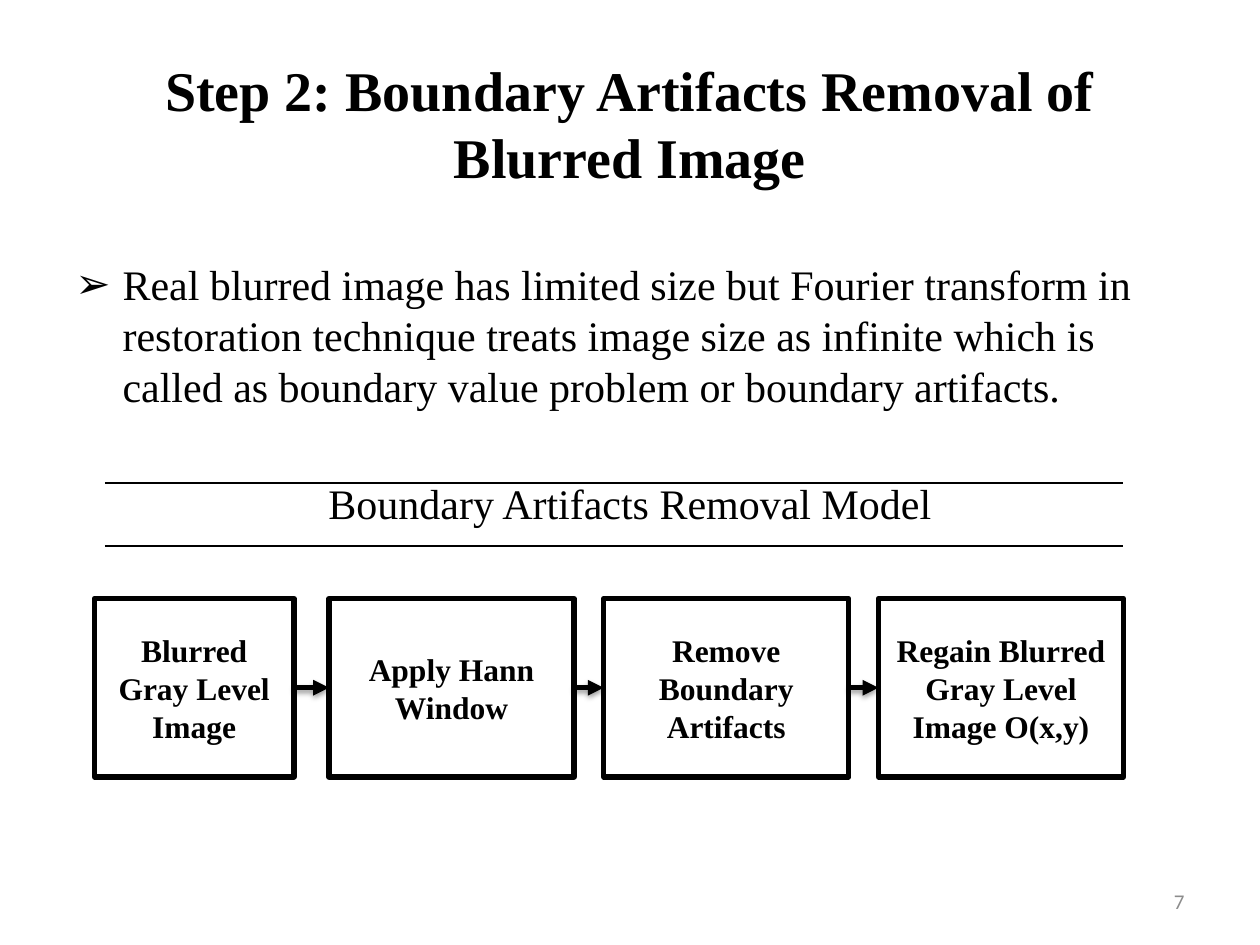
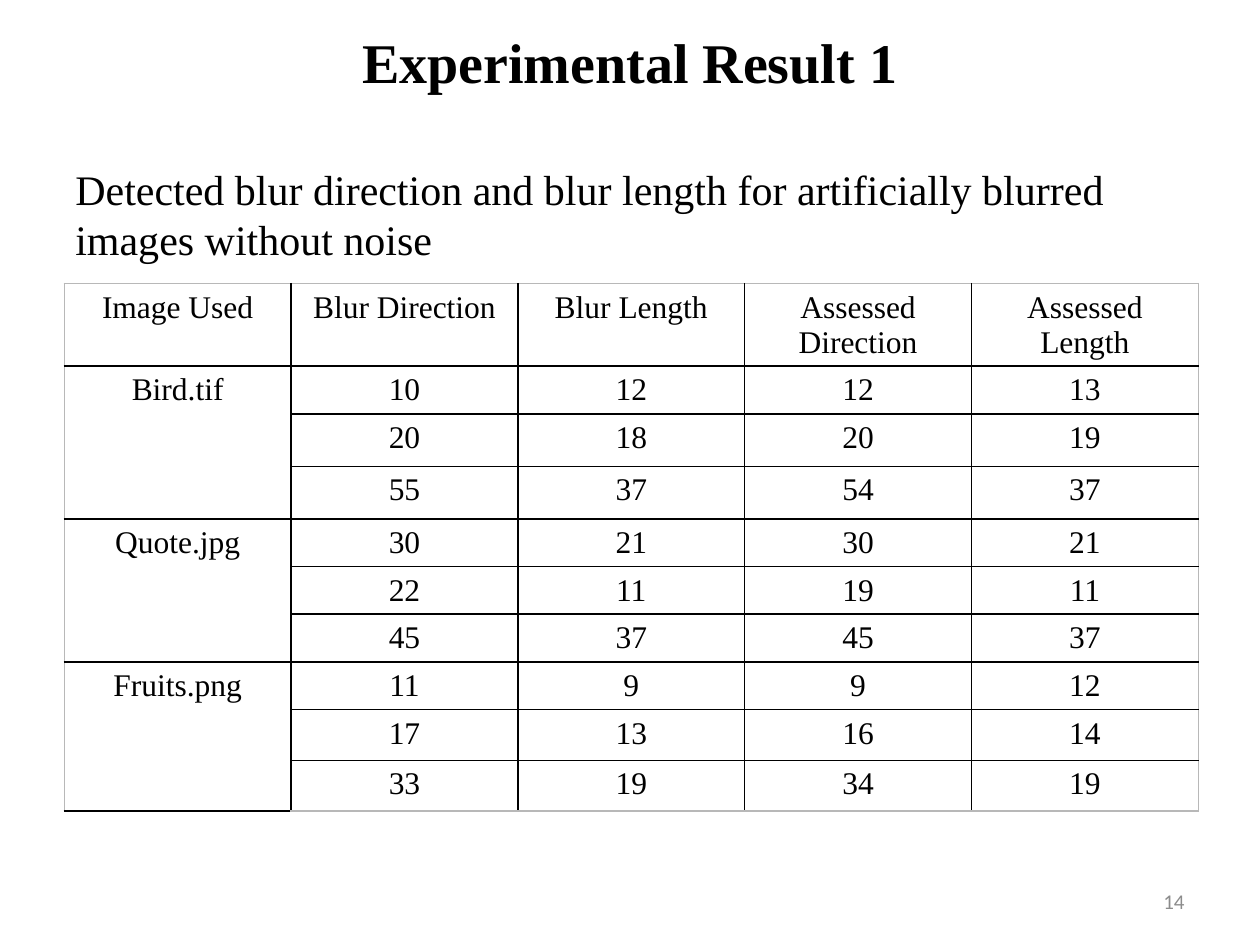
from lxml.etree import SubElement
from pptx import Presentation
from pptx.dml.color import RGBColor
from pptx.enum.shapes import MSO_CONNECTOR as Connector, MSO_SHAPE as Shape
from pptx.enum.text import MSO_ANCHOR as Anchor, PP_ALIGN as Align
from pptx.oxml.ns import qn
from pptx.util import Pt

BLACK, WHITE, GREY, PALE = "000000", "FFFFFF", "8C8C8C", "B8B8B8"
SERIF, SANS = "Times New Roman", "Calibri"
LEADING = 1.21  # line pitch as a multiple of the text size
MARGIN, CONTENT_WIDTH = 36, 648

MODEL_TITLE = "Step 2: Boundary Artifacts Removal of Blurred Image"
PROBLEM = (
    "Real blurred image has limited size but Fourier transform in restoration "
    "technique treats image size as infinite which is called as boundary value "
    "problem or boundary artifacts."
)
MODEL_HEADING = "Boundary Artifacts Removal Model"
# step, width, gap before it
STEPS = [
    ("Blurred Gray Level Image", 114, 0),
    ("Apply Hann Window", 140, 20),
    ("Remove Boundary Artifacts", 140, 17),
    ("Regain Blurred Gray Level Image O(x,y)", 140, 17),
]
STEPS_LEFT, STEPS_TOP, STEP_HEIGHT = 54, 342, 102
RULE_LEFT, RULE_RIGHT, RULE_TOPS = 60, 641.5, (276, 312)

RESULT_TITLE = "Experimental Result 1"
RESULT_CAPTION = (
    "Detected blur direction and blur length for artificially blurred images without noise"
)
RESULT_HEADER = ["Image Used", "Blur Direction", "Blur Length",
                 "Assessed Direction", "Assessed Length"]
RESULTS = {
    "Bird.tif": [(10, 12, 12, 13), (20, 18, 20, 19), (55, 37, 54, 37)],
    "Quote.jpg": [(30, 21, 30, 21), (22, 11, 19, 11), (45, 37, 45, 37)],
    "Fruits.png": [(11, 9, 9, 12), (17, 13, 16, 14), (33, 19, 34, 19)],
}
ROW_HEIGHTS = [47.2, 27.2, 30, 30, 27.2, 27.2, 27.2, 27.2, 29, 29]


def rgb(colour):
    return RGBColor.from_string(colour)


def points(*lengths):
    return [Pt(length) for length in lengths]


def write(paragraph, words, size, bold=False, align=Align.LEFT, font=SERIF,
          colour=BLACK, pitch=None):
    paragraph.alignment = align
    paragraph.line_spacing = Pt(pitch or round(size * LEADING, 1))
    run = paragraph.add_run()
    run.text = words
    run.font.name, run.font.size, run.font.bold = font, Pt(size), bold
    run.font.color.rgb = rgb(colour)


def add_text(slide, left, top, width, height, anchor=Anchor.MIDDLE):
    frame = slide.shapes.add_textbox(*points(left, top, width, height)).text_frame
    frame.word_wrap, frame.vertical_anchor = True, anchor
    return frame


def add_slide(deck, title, title_top, title_height, number):
    slide = deck.slides.add_slide(deck.slide_layouts[5])
    heading = slide.shapes.title
    heading.left, heading.top, heading.width, heading.height = points(
        MARGIN, title_top, CONTENT_WIDTH, title_height)
    heading.text_frame.vertical_anchor = Anchor.MIDDLE
    write(heading.text_frame.paragraphs[0], title, 32, True, Align.CENTER)
    footer = add_text(slide, 516, 500.5, 168, 28.5)
    write(footer.paragraphs[0], str(number), 12, align=Align.RIGHT, font=SANS, colour=GREY)
    return slide


def add_bullet(paragraph, sign, indent):
    props = paragraph._p.get_or_add_pPr()
    props.set("marL", str(Pt(indent)))
    props.set("indent", str(-Pt(indent)))
    SubElement(props, qn("a:buFont"), typeface="Arial")
    SubElement(props, qn("a:buChar"), char=sign)


def add_line(slide, x1, y1, x2, y2, weight, arrow=False):
    """Draw a black line; an arrow also gets a head and a soft shadow."""
    connector = slide.shapes.add_connector(Connector.STRAIGHT, *points(x1, y1, x2, y2))
    connector.line.width = Pt(weight)
    connector.line.color.rgb = rgb(BLACK)
    effects = SubElement(connector._element.spPr, qn("a:effectLst"))
    if arrow:
        SubElement(connector.line._get_or_add_ln(), qn("a:tailEnd"), type="triangle")
        shadow = SubElement(effects, qn("a:outerShdw"), blurRad=str(Pt(3.1)),
                            dist=str(Pt(1.6)), dir="5400000", rotWithShape="0")
        tint = SubElement(shadow, qn("a:srgbClr"), val=BLACK)
        SubElement(tint, qn("a:alpha"), val="38000")


def add_step(slide, words, left, width):
    box = slide.shapes.add_shape(
        Shape.RECTANGLE, *points(left, STEPS_TOP, width, STEP_HEIGHT))
    box.shadow.inherit = False
    box.fill.solid()
    box.fill.fore_color.rgb = rgb(WHITE)
    box.line.color.rgb = rgb(BLACK)
    box.line.width = Pt(3)
    box.text_frame.word_wrap = True
    box.text_frame.vertical_anchor = Anchor.MIDDLE
    write(box.text_frame.paragraphs[0], words, 18, True, Align.CENTER)


def set_border(cell, side, colour, weight):
    border = SubElement(cell._tc.get_or_add_tcPr(), qn(f"a:ln{side}"), w=str(Pt(weight)))
    fill = SubElement(border, qn("a:solidFill"))
    SubElement(fill, qn("a:srgbClr"), val=colour)


def add_results(slide):
    rows = [RESULT_HEADER]
    for image, trials in RESULTS.items():
        rows += [(image if trial == 0 else "", *values)
                 for trial, values in enumerate(trials)]
    row_count, column_count = len(rows), len(RESULT_HEADER)
    table = slide.shapes.add_table(
        row_count, column_count,
        *points(36.75, 162, CONTENT_WIDTH, sum(ROW_HEIGHTS))).table
    table.first_row = table.horz_banding = False
    for row, height in zip(table.rows, ROW_HEIGHTS):
        row.height = Pt(height)
    for r, row in enumerate(rows):
        for c, value in enumerate(row):
            cell = table.cell(r, c)
            outer = {"L": c == 0, "R": c == column_count - 1,
                     "T": r == 0, "B": r == row_count - 1}
            for side, is_outer in outer.items():
                set_border(cell, side, *((PALE, 0.75) if is_outer else (BLACK, 1)))
            cell.fill.background()
            if value != "":
                write(cell.text_frame.paragraphs[0], str(value), 18,
                      align=Align.CENTER, pitch=20)
    first = 1
    for trials in RESULTS.values():
        last = first + len(trials) - 1
        table.cell(first, 0).merge(table.cell(last, 0))
        first = last + 1


def build_model_slide(deck):
    slide = add_slide(deck, MODEL_TITLE, 25, 90, 7)
    body = add_text(slide, MARGIN, 144, CONTENT_WIDTH, 356.5, Anchor.TOP)
    write(body.paragraphs[0], PROBLEM, 24)
    add_bullet(body.paragraphs[0], "➢", 27)
    heading = body.add_paragraph()
    heading.space_before = Pt(38)
    write(heading, MODEL_HEADING, 24, align=Align.CENTER)
    for top in RULE_TOPS:
        add_line(slide, RULE_LEFT, top, RULE_RIGHT, top, 0.75)

    left, middle = STEPS_LEFT, STEPS_TOP + STEP_HEIGHT / 2
    arrows = []
    for words, width, gap in STEPS:
        if gap:
            arrows.append((left, middle, left + gap, middle))
        left += gap
        add_step(slide, words, left, width)
        left += width
    for ends in arrows:
        add_line(slide, *ends, 3, arrow=True)


def build_result_slide(deck):
    slide = add_slide(deck, RESULT_TITLE, 10, 50, 14)
    caption = add_text(slide, MARGIN, 90, CONTENT_WIDTH, 64)
    write(caption.paragraphs[0], RESULT_CAPTION, 24)
    add_results(slide)


def main():
    deck = Presentation()
    deck.slide_width, deck.slide_height = points(720, 540)
    build_model_slide(deck)
    build_result_slide(deck)
    deck.save("out.pptx")


if __name__ == "__main__":
    main()
